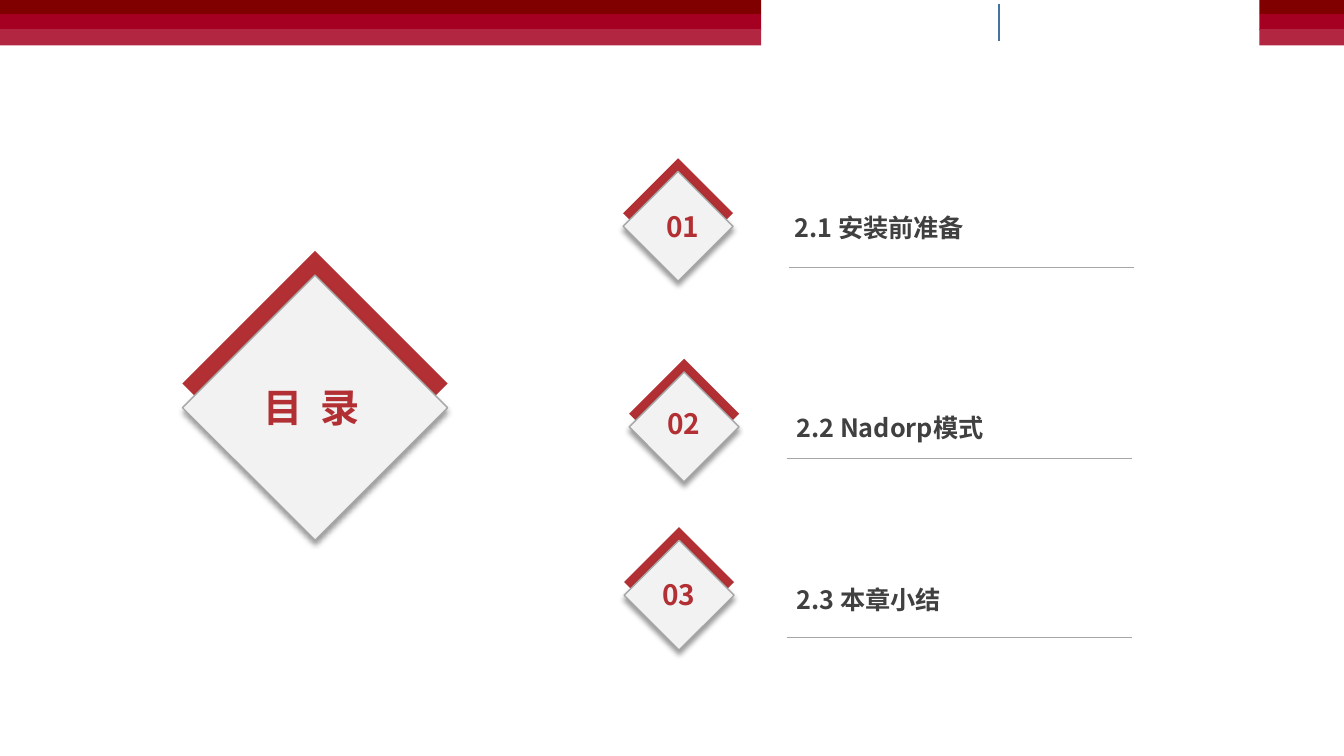
from lxml import etree
from pptx import Presentation
from pptx.dml.color import RGBColor
from pptx.enum.shapes import MSO_CONNECTOR as Connector, MSO_SHAPE as Shape
from pptx.enum.text import MSO_ANCHOR as Anchor, MSO_AUTO_SIZE as AutoSize, PP_ALIGN as Align
from pptx.oxml import parse_xml
from pptx.oxml.ns import nsdecls, qn
from pptx.util import Inches, Pt

SLIDE_W, SLIDE_H = 13.33, 7.5
FONT = "Noto Sans CJK SC"
RED, PLATE, GREY, INK = "B23033", "F2F2F2", "A6A6A6", "404040"
BANDS = [(0, 0.14, "800000"), (0.14, 0.16, "A50021"), (0.29, 0.16, "B22642")]

# number, badge corner, number offset, label, label corner, label width, rule start
CHAPTERS = [
    ("01", (6.18, 1.57), (0.33, 0.45), "2.1 安装前准备", (7.81, 2.07), 4.1, (7.83, 2.65)),
    ("02", (6.24, 3.56), (0.28, 0.41), "2.2 Nadorp模式", (7.83, 4.06), 3.8, (7.81, 4.55)),
    ("03", (6.19, 5.23), (0.28, 0.44), "2.3 本章小结", (7.83, 5.76), 4.59, (7.81, 6.32)),
]
BADGE, RULE_W = 1.09, 3.42


def color(hex_code):
    return RGBColor.from_string(hex_code)


def add_filled(shapes, kind, box, fill, outline=None):
    shape = shapes.add_shape(kind, *map(Inches, box))
    shape.shadow.inherit = False
    shape.fill.solid()
    shape.fill.fore_color.rgb = color(fill)
    if outline:
        shape.line.color.rgb = color(outline)
        shape.line.width = Pt(1)
    else:
        shape.line.fill.background()
    return shape


def write(holder, text, size, hex_code, insets):
    frame = holder.text_frame
    frame.word_wrap = True
    frame.auto_size = AutoSize.NONE
    frame.vertical_anchor = Anchor.MIDDLE
    frame.margin_left = frame.margin_right = Inches(insets[0])
    frame.margin_top = frame.margin_bottom = Inches(insets[1])
    paragraph = frame.paragraphs[0]
    paragraph.alignment = Align.LEFT
    run = paragraph.add_run()
    run.text = text
    run.font.size, run.font.bold, run.font.name = Pt(size), True, FONT
    run.font.color.rgb = color(hex_code)
    # East Asian typeface
    etree.SubElement(run._r.get_or_add_rPr(), qn("a:ea"), typeface=FONT)


def add_rule(shapes, start, end, hex_code, width):
    rule = shapes.add_connector(Connector.STRAIGHT, *map(Inches, start + end))
    rule.line.color.rgb = color(hex_code)
    rule.line.width = Pt(width)
    etree.SubElement(rule._element.spPr, qn("a:effectLst"))


def add_diamonds(shapes, left, top, size, drop):
    """Red diamond peeking out above a pale one with a soft shadow."""
    add_filled(shapes, Shape.FLOWCHART_DECISION, (left, top, size, size), RED)
    plate = add_filled(shapes, Shape.FLOWCHART_DECISION,
                       (left, top + drop, size, size), PLATE, GREY)
    plate._element.spPr.find(qn("a:effectLst")).append(parse_xml(
        f'<a:outerShdw {nsdecls("a")} blurRad="{Pt(4)}" dist="{Pt(3)}" dir="5400000" '
        'algn="t" rotWithShape="0"><a:srgbClr val="000000"><a:alpha val="40000"/>'
        '</a:srgbClr></a:outerShdw>'))


def add_header(slide):
    # Striped bands on both sides of the gap
    for left, right in ((0, 7.55), (12.49, SLIDE_W)):
        stripes = slide.shapes.add_group_shape().shapes
        for top, height, fill in BANDS:
            add_filled(stripes, Shape.RECTANGLE, (left, top, right - left, height), fill)
    add_rule(slide.shapes, (9.91, 0.04), (9.91, 0.41), "43739E", 1)


def add_contents_title(slide, left, top, size):
    add_diamonds(slide.shapes, left, top, size, 0.24)
    title = slide.shapes.title
    title.left, title.top = Inches(left + 0.73), Inches(top + 1.26)
    title.width, title.height = Inches(1.58), Inches(0.57)
    write(title, "目  录", 28, RED, (0.07, 0.04))
    # Bring the title in front of its diamond
    title.element.getparent().append(title.element)


def add_chapter(slide, number, corner, offset, label, label_at, label_w, rule_at):
    left, top = corner
    # Numbered badge
    badge = slide.shapes.add_group_shape().shapes
    add_diamonds(badge, left, top, BADGE, 0.13)
    digits = badge.add_textbox(Inches(left + offset[0]), Inches(top + offset[1]),
                               Inches(0.57), Inches(0.46))
    write(digits, number, 20, RED, (0.1, 0.05))
    # Chapter name over its rule
    name = slide.shapes.add_textbox(*map(Inches, label_at + (label_w, 0.37)))
    write(name, label, 18, INK, (0.07, 0.04))
    add_rule(slide.shapes, rule_at, (rule_at[0] + RULE_W, rule_at[1]), GREY, 0.5)


def main():
    deck = Presentation()
    deck.slide_width, deck.slide_height = Inches(SLIDE_W), Inches(SLIDE_H)
    slide = deck.slides.add_slide(deck.slide_layouts[5])
    add_header(slide)
    add_contents_title(slide, 1.81, 2.49, 2.63)
    for chapter in CHAPTERS:
        add_chapter(slide, *chapter)
    deck.save("out.pptx")


if __name__ == "__main__":
    main()
